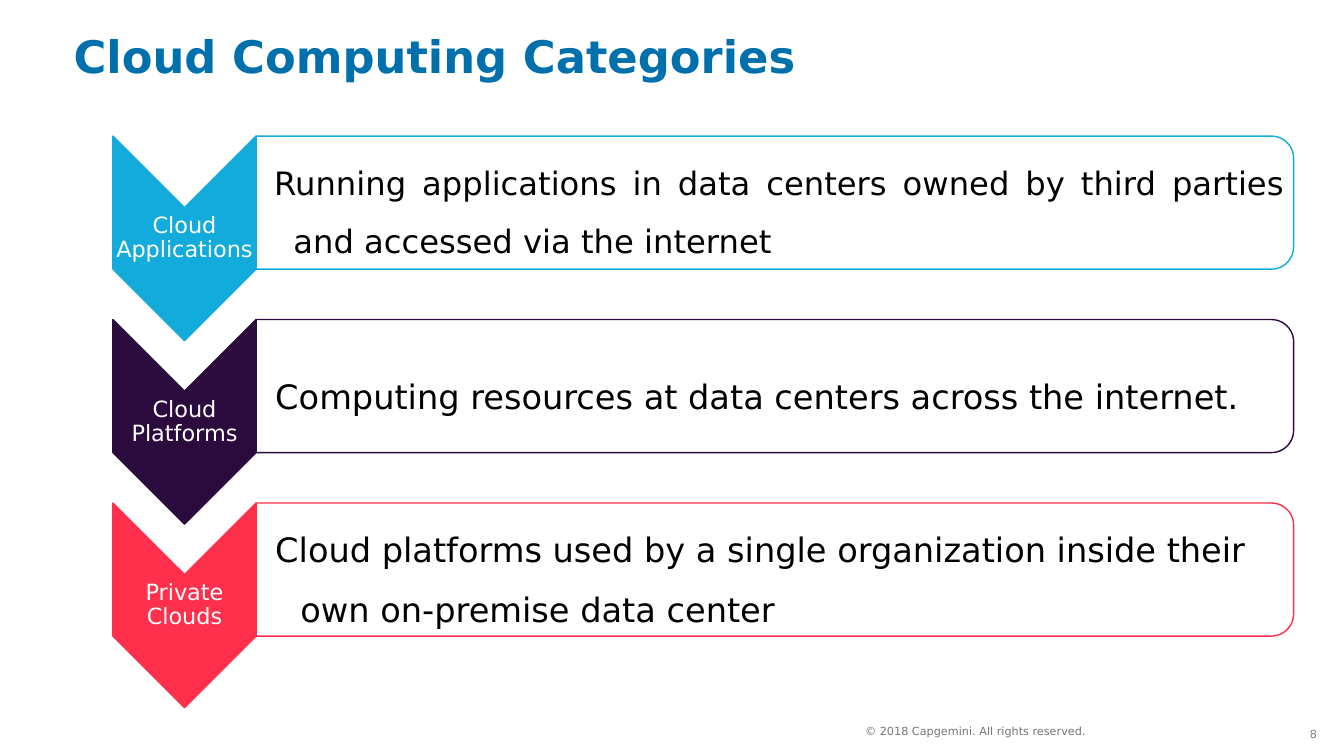
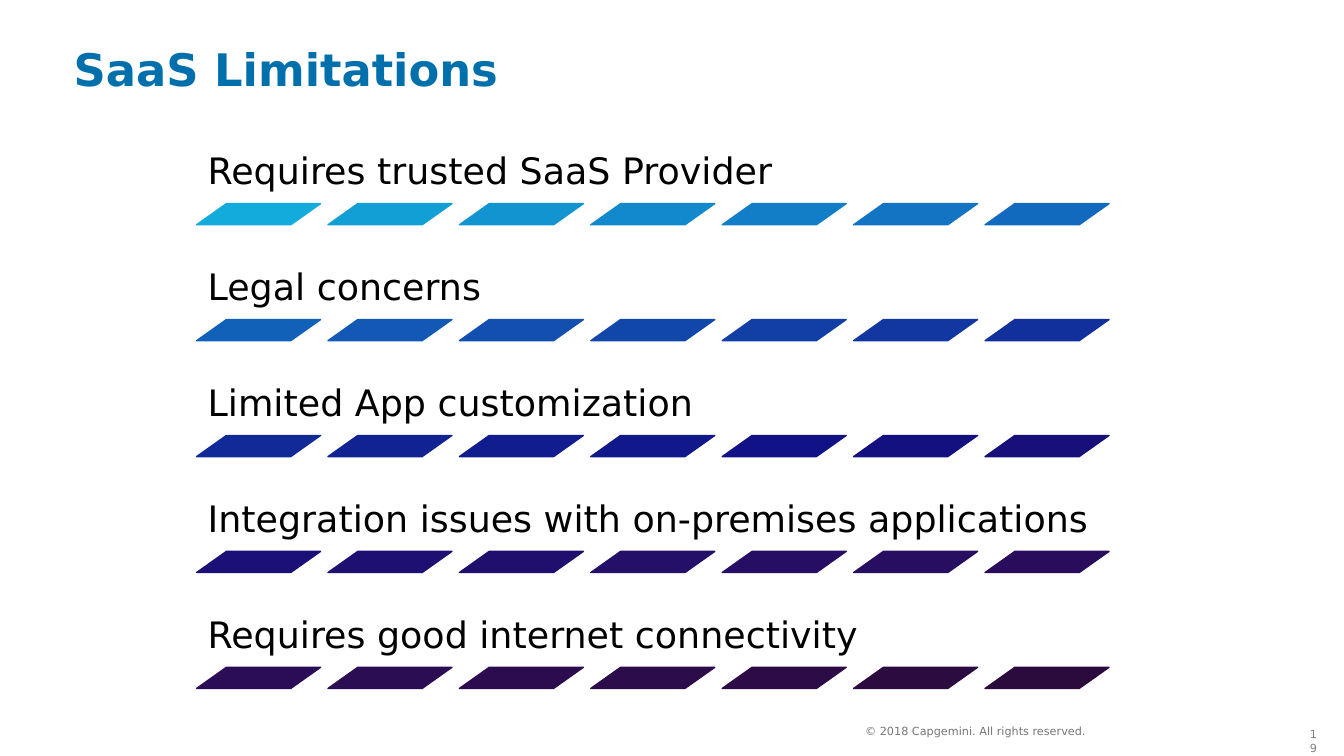
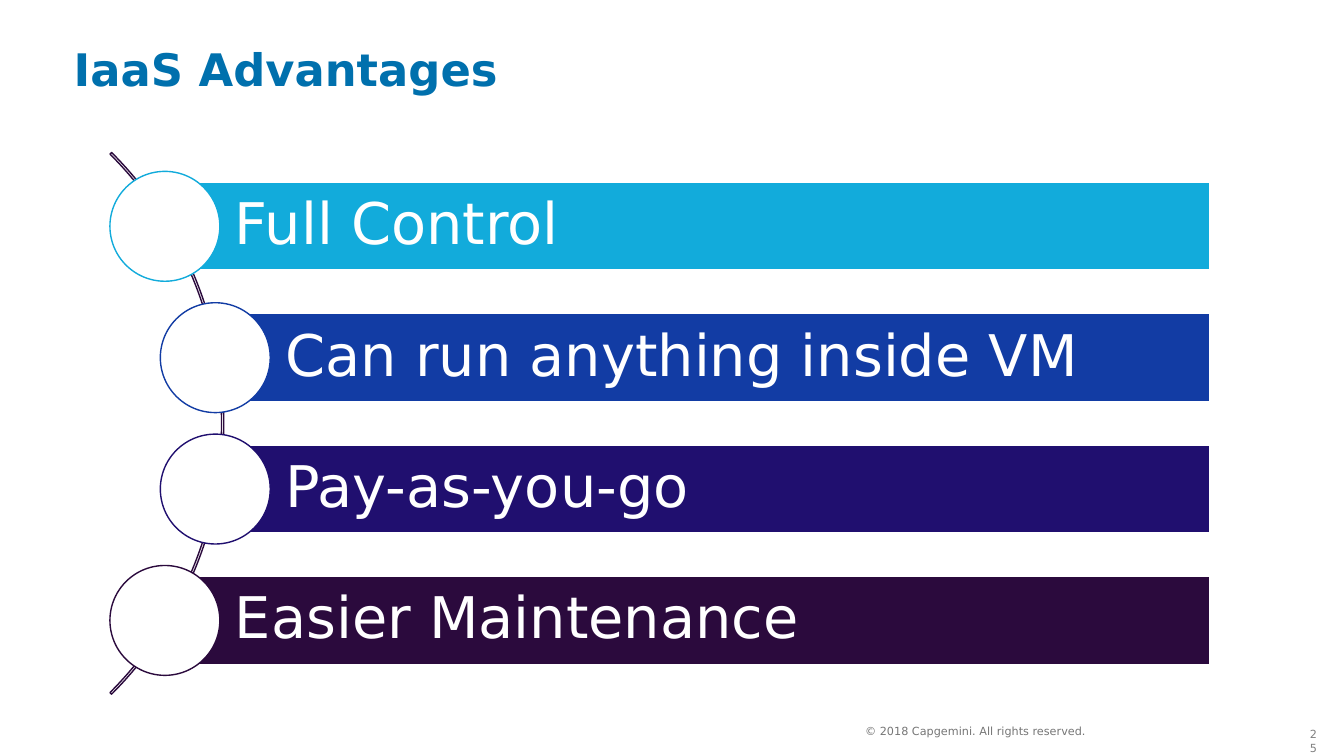
from colorsys import hls_to_rgb, rgb_to_hls
from dataclasses import dataclass
from typing import Optional

from pptx import Presentation
from pptx.dml.color import RGBColor
from pptx.enum.shapes import MSO_SHAPE as Form
from pptx.enum.text import MSO_ANCHOR as Anchor, MSO_AUTO_SIZE as Fit, PP_ALIGN as Align
from pptx.util import Emu, Pt

SCALE = 9144  # EMU per px, 100 px to the inch
FONT = "DejaVu Sans"
COLORS = {
    "title": "0070AD",
    "text": "000000",
    "white": "FFFFFF",
    "foot": "767676",
    "page": "808080",
    "sky": "12ABDB",
    "plum": "2B0A3D",
    "red": "FF304C",
}


@dataclass
class Box:
    x: float
    y: float
    w: float
    h: float


@dataclass
class Card:
    name: str
    text: str
    color: str
    size: int = 24
    align: Align = Align.JUSTIFY
    pad: int = 19
    hang: int = 25


@dataclass
class Step:
    text: str
    x: int


CARDS = [
    Card("Cloud Applications",
         "Running applications in data centers owned by third parties "
         "and accessed via the internet",
         COLORS["sky"], size=23, pad=18, hang=19),
    Card("Cloud Platforms",
         "Computing resources at data centers across the internet.",
         COLORS["plum"]),
    Card("Private Clouds",
         "Cloud platforms used by a single organization inside their "
         "own on-premise data center",
         COLORS["red"], align=Align.LEFT),
]
LIMITS = [
    "Requires trusted SaaS Provider",
    "Legal concerns",
    "Limited App customization",
    "Integration issues with on-premises applications",
    "Requires good internet connectivity",
]
STEPS = [
    Step("Full Control", 109),
    Step("Can run anything inside VM", 159),
    Step("Pay-as-you-go", 159),
    Step("Easier Maintenance", 109),
]


# Measures and colours
def px(value: float) -> Emu:
    return Emu(round(value * SCALE))


def spread(first: int, last: int, count: int) -> list[float]:
    """Evenly spaced positions from first to last."""
    return [first + (last - first) * i / (count - 1) for i in range(count)]


def blend(count: int) -> list[str]:
    """Colours from sky to plum, evenly stepped in HLS."""
    ends = [rgb_to_hls(*(v / 255 for v in bytes.fromhex(COLORS[key])))
            for key in ("sky", "plum")]
    mixes = []
    for i in range(count):
        part = i / (count - 1)
        rgb = hls_to_rgb(*(a + (b - a) * part for a, b in zip(*ends)))
        mixes.append("".join(f"{round(v * 255):02X}" for v in rgb))
    return mixes


# Drawing helpers
def place(shape, box: Box) -> None:
    shape.left, shape.top = px(box.x), px(box.y)
    shape.width, shape.height = px(box.w), px(box.h)


def write(shape, text: str, *, size: int, color: str = COLORS["text"],
          bold: bool = False, align: Align = Align.LEFT,
          anchor: Anchor = Anchor.MIDDLE,
          pads: tuple[int, int, int, int] = (10, 5, 10, 5),
          lead: float = 1.0, hang: int = 0, wrap: bool = True) -> None:
    """Fill a shape with one paragraph; pads are left, top, right, bottom."""
    frame = shape.text_frame
    frame.auto_size = Fit.NONE
    frame.word_wrap = wrap
    frame.vertical_anchor = anchor
    (frame.margin_left, frame.margin_top,
     frame.margin_right, frame.margin_bottom) = map(px, pads)
    para = frame.paragraphs[0]
    para.alignment, para.line_spacing = align, lead
    if hang:
        props = para._p.get_or_add_pPr()
        props.set("marL", str(px(hang)))
        props.set("indent", str(px(-hang)))
    run = para.add_run()
    run.text = text
    run.font.name, run.font.size, run.font.bold = FONT, Pt(size), bold
    run.font.color.rgb = RGBColor.from_string(color)


def label(slide, box: Box, text: str, **style) -> None:
    write(slide.shapes.add_textbox(*map(px, (box.x, box.y, box.w, box.h))),
          text, **style)


def draw(slide, form: Form, box: Box, fill: Optional[str], line: str,
         turn: bool = False):
    """Draw a preset shape; a turned one fills its box after 90 degrees."""
    if turn:
        box = Box(box.x + (box.w - box.h) / 2, box.y + (box.h - box.w) / 2,
                  box.h, box.w)
    shape = slide.shapes.add_shape(form, *map(px, (box.x, box.y, box.w, box.h)))
    shape.shadow.inherit = False
    shape.rotation = 90 if turn else 0
    if fill:
        shape.fill.solid()
        shape.fill.fore_color.rgb = RGBColor.from_string(fill)
    else:
        shape.fill.background()
    shape.line.color.rgb = RGBColor.from_string(line)
    shape.line.width = Pt(1)
    return shape


def start(deck, title: str, page: int, top: int = 36):
    """Add a slide with its title, copyright line and page number."""
    slide = deck.slides.add_slide(deck.slide_layouts[5])
    head = slide.shapes.title
    place(head, Box(63, top, 949, 64))
    write(head, title, size=32, color=COLORS["title"], bold=True)
    label(slide, Box(858, 713, 243, 24), "© 2018 Capgemini. All rights reserved.",
          size=8, color=COLORS["foot"], pads=(0, 0, 0, 0), wrap=False)
    label(slide, Box(1289, 717, 27, 24), str(page), size=8,
          color=COLORS["page"], align=Align.RIGHT, anchor=Anchor.TOP)
    return slide


# Slides
def groups(deck) -> None:
    slide = start(deck, "Cloud Computing Categories", 8, top=23)
    for card, y in zip(CARDS, spread(135, 499, len(CARDS))):
        draw(slide, Form.CHEVRON, Box(112, y, 142, 203),
             card.color, card.color, turn=True)
        label(slide, Box(112, y + 71, 142, 61), card.name, size=16,
              color=COLORS["white"], align=Align.CENTER, pads=(1, 1, 1, 1),
              lead=0.9)
        draw(slide, Form.ROUND_2_SAME_RECTANGLE, Box(254, y, 1029, 132),
             COLORS["white"], card.color, turn=True)
        label(slide, Box(254, y + 6, 1023, 119), card.text, size=card.size,
              align=card.align, pads=(card.pad, 2, 2, 2), lead=1.5,
              hang=card.hang)


def limits(deck) -> None:
    slide = start(deck, "SaaS Limitations", 19)
    tiles = spread(195, 977, 7)
    shades = iter(blend(len(LIMITS) * len(tiles)))
    for text, y in zip(LIMITS, spread(202, 662, len(LIMITS))):
        label(slide, Box(195, y - 84, 924, 84), text, size=26,
              anchor=Anchor.BOTTOM, pads=(11, 11, 11, 11), lead=0.9)
        for x in tiles:
            shade = next(shades)
            tile = draw(slide, Form.PARALLELOGRAM, Box(x, y, 123, 21), shade, shade)
            tile.adjustments[0] = 1.41


def gains(deck) -> None:
    slide = start(deck, "IaaS Advantages", 25)
    # Thin arc behind the circles, from 315 to 45 degrees
    arc = draw(slide, Form.BLOCK_ARC, Box(-538, 40, 760, 760), None, COLORS["plum"])
    for i, value in enumerate((189, 27, 0.003)):
        arc.adjustments[i] = value
    count = len(STEPS)
    for step, y, shade in zip(STEPS, spread(181, 572, count), blend(count)):
        x = step.x + 55
        bar = draw(slide, Form.RECTANGLE, Box(x, y, 1200 - x, 87),
                   shade, COLORS["white"])
        write(bar, step.text, size=41, color=COLORS["white"],
              pads=(69, 11, 11, 11), lead=0.9)
        draw(slide, Form.OVAL, Box(step.x, y - 11, 109, 109),
             COLORS["white"], shade)


def main() -> None:
    deck = Presentation()
    deck.slide_width, deck.slide_height = px(1333), px(750)
    for build in (groups, limits, gains):
        build(deck)
    deck.save("out.pptx")


if __name__ == "__main__":
    main()
